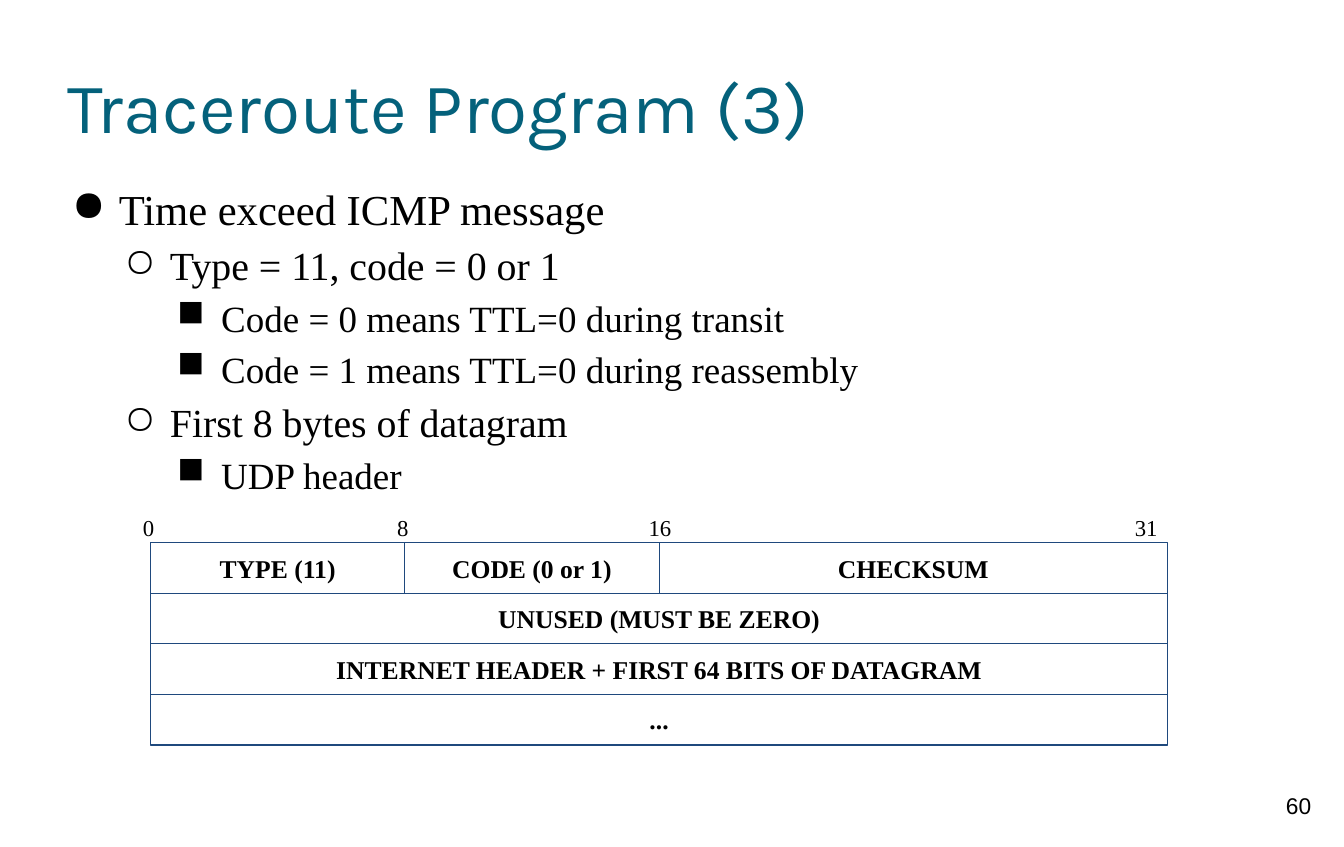
import pptx
import pptx.util
import pptx.dml.color
import pptx.enum.shapes
import pptx.enum.text
import pptx.oxml.ns
import lxml.etree
from dataclasses import dataclass

Pt = pptx.util.Pt
ALIGN = pptx.enum.text.PP_ALIGN
ANCHOR = pptx.enum.text.MSO_ANCHOR

TITLE = "Traceroute Program (3)"
PAGE = "60"
POINTS = [  # level, text
    (0, "Time exceed ICMP message"),
    (1, "Type = 11, code = 0 or 1"),
    (2, "Code = 0 means TTL=0 during transit"),
    (2, "Code = 1 means TTL=0 during reassembly"),
    (1, "First 8 bytes of datagram"),
    (2, "UDP header"),
]
ROWS = [  # fields of each row: text, width in bits
    [("TYPE (11)", 8), ("CODE (0 or 1)", 8), ("CHECKSUM", 16)],
    [("UNUSED (MUST BE ZERO)", 32)],
    [("INTERNET HEADER + FIRST 64 BITS OF DATAGRAM", 32)],
    [("...", 32)],
]
MARKS = [("0", 0, 36), ("8", 8, 36), ("16", 16, 40), ("31", 31.3, 40)]  # text, bit, box width
LEVELS = [("●", 30, 33), ("○", 28, 32), ("■", 26, 31)]  # bullet, type size, hanging indent


@dataclass
class Theme:
    ink: str = "000000"
    head: str = "04617B"
    rule: str = "1F497D"
    serif: str = "Times New Roman"
    sans: str = "Arial"
    display: str = "Karla"
    title: int = 50
    field: int = 18
    small: int = 16


THEME = Theme()
LEFT, TOP = 105.8, 381.6
BIT, ROW = 22.34, 35.55
STEP = 36
INSET = 7.2


def color(code):
    return pptx.dml.color.RGBColor.from_string(code)


def style(par, face, size, ink=THEME.ink, bold=False, align=ALIGN.CENTER):
    par.alignment = align
    for run in par.runs:
        run.font.name = face
        run.font.size = Pt(size)
        run.font.bold = bold
        run.font.color.rgb = color(ink)


def set_frame(frame, inset, anchor):
    frame.word_wrap = True
    frame.auto_size = pptx.enum.text.MSO_AUTO_SIZE.NONE
    frame.vertical_anchor = anchor
    frame.margin_left = frame.margin_right = Pt(inset)
    frame.margin_top = frame.margin_bottom = Pt(inset)


def add_label(shapes, text, box, face):
    frame = shapes.add_textbox(*map(Pt, box)).text_frame
    set_frame(frame, INSET, ANCHOR.TOP)
    frame.text = text
    style(frame.paragraphs[0], face, THEME.small)


def add_title(slide):
    title = slide.shapes.title
    title.left, title.top, title.width, title.height = map(Pt, (47.5, 23.8, 850.3, 99.4))
    set_frame(title.text_frame, 0, ANCHOR.MIDDLE)
    title.text_frame.text = TITLE
    style(title.text_frame.paragraphs[0], THEME.display, THEME.title, THEME.head, align=ALIGN.LEFT)


def add_bullet(par, level):
    """Give the paragraph its level's bullet and hanging indent."""
    mark, _, hang = LEVELS[level]
    props = par._p.get_or_add_pPr()
    props.set("marL", str(Pt(STEP * (level + 1))))
    props.set("indent", str(-Pt(hang)))
    tint = lxml.etree.SubElement(props, pptx.oxml.ns.qn("a:buClr"))
    lxml.etree.SubElement(tint, pptx.oxml.ns.qn("a:srgbClr"), val=THEME.ink)
    lxml.etree.SubElement(props, pptx.oxml.ns.qn("a:buChar"), char=mark)


def add_points(slide):
    frame = slide.shapes.add_textbox(*map(Pt, (47.5, 123.1, 852.5, 223.9))).text_frame
    set_frame(frame, 0, ANCHOR.TOP)
    frame.text = "\n".join(text for _, text in POINTS)
    for par, (level, _) in zip(frame.paragraphs, POINTS):
        par.level = level
        add_bullet(par, level)
        par.line_spacing = 1.15
        style(par, THEME.serif, LEVELS[level][1], align=ALIGN.LEFT)


def add_field(shapes, text, box):
    field = shapes.add_shape(pptx.enum.shapes.MSO_SHAPE.RECTANGLE, *map(Pt, box))
    field.shadow.inherit = False
    field.fill.background()
    field.line.color.rgb = color(THEME.rule)
    field.line.width = Pt(0.75)
    set_frame(field.text_frame, INSET, ANCHOR.MIDDLE)
    field.text_frame.text = text
    style(field.text_frame.paragraphs[0], THEME.serif, THEME.field, bold=True)


def add_packet(slide):
    shapes = slide.shapes.add_group_shape().shapes
    for row, fields in enumerate(ROWS):
        start = 0
        for text, bits in fields:
            add_field(shapes, text, (LEFT + start * BIT, TOP + row * ROW, bits * BIT, ROW))
            start += bits
    for text, bit, width in MARKS:
        add_label(shapes, text, (LEFT - 19.4 + bit * BIT, 354.2, width, 33.8), THEME.serif)


def main():
    deck = pptx.Presentation()
    deck.slide_width, deck.slide_height = Pt(944.64), Pt(595.44)
    slide = deck.slides.add_slide(deck.slide_layouts.get_by_name("Title Only"))
    add_label(slide.shapes, PAGE, (884.2, 549.4, 56.9, 45.4), THEME.sans)
    add_title(slide)
    add_points(slide)
    add_packet(slide)
    deck.save("out.pptx")


if __name__ == "__main__":
    main()
